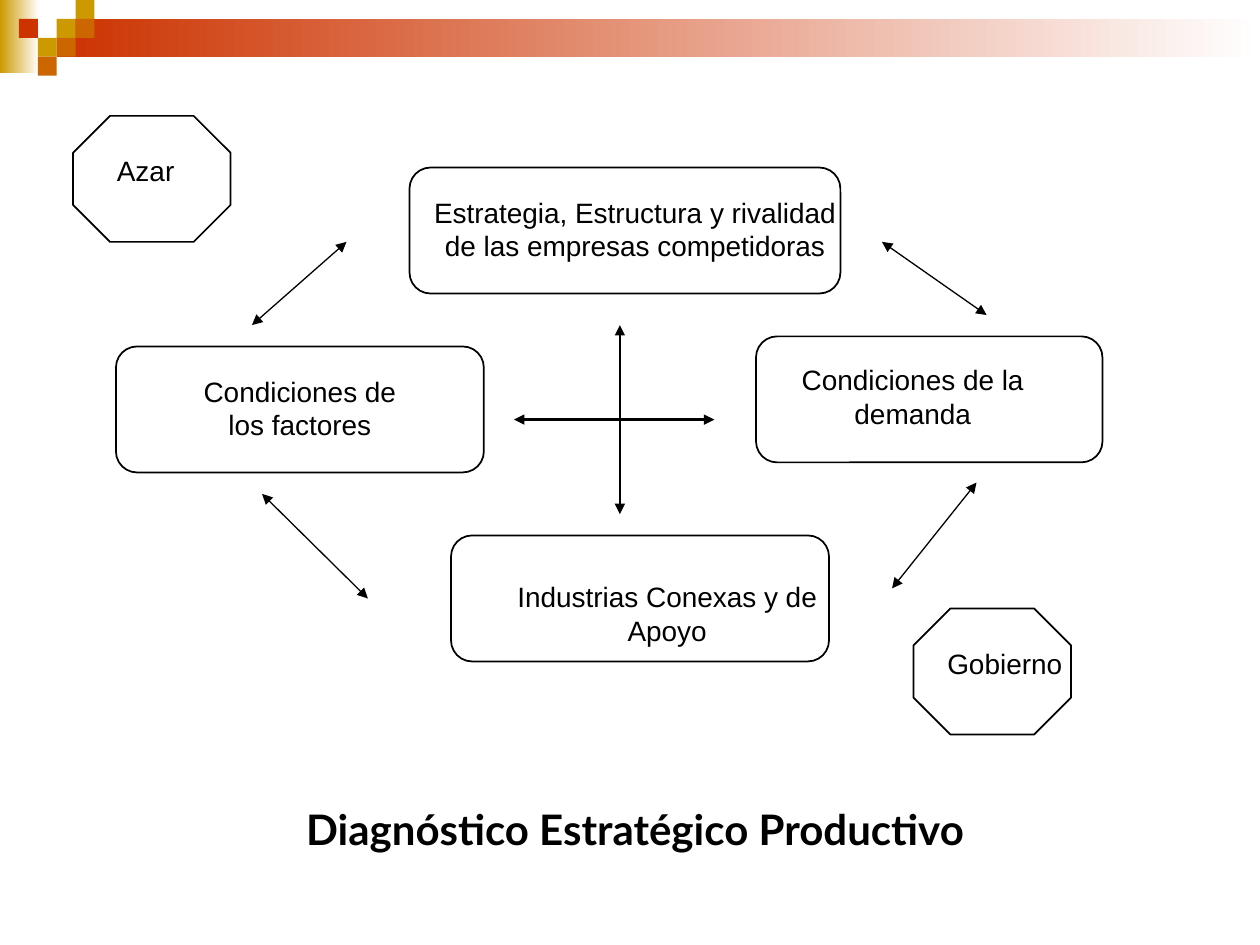
from dataclasses import dataclass

from lxml.etree import SubElement
from pptx import Presentation
from pptx.dml.color import RGBColor
from pptx.enum.shapes import MSO_CONNECTOR, MSO_SHAPE
from pptx.enum.text import MSO_ANCHOR, PP_ALIGN
from pptx.oxml.ns import qn
from pptx.util import Inches, Pt


@dataclass(frozen=True)
class Theme:
    ink: RGBColor = RGBColor(0, 0, 0)
    paper: RGBColor = RGBColor(0xFF, 0xFF, 0xFF)
    gold: RGBColor = RGBColor(0xCC, 0x99, 0x00)
    orange: RGBColor = RGBColor(0xCC, 0x66, 0x00)
    red: RGBColor = RGBColor(0xCC, 0x33, 0x00)
    label_font: str = "Arial"
    title_font: str = "Lato"
    label_size: int = 16
    title_size: int = 24
    outline: float = 1
    thin: float = 0.75
    thick: float = 1.5


THEME = Theme()
TILE = 0.15


def place(left, top, width, height):
    return Inches(left), Inches(top), Inches(width), Inches(height)


def add_block(page, area, color, fade=False):
    block = page.shapes.add_shape(MSO_SHAPE.RECTANGLE, *place(*area))
    block.shadow.inherit = False
    block.line.fill.background()
    if fade:
        block.fill.gradient()
        block.fill.gradient_angle = 0
        for stop, shade in zip(block.fill.gradient_stops, (color, THEME.paper)):
            stop.color.rgb = shade
    else:
        block.fill.solid()
        block.fill.fore_color.rgb = color


def add_banner(page):
    add_block(page, (0, 0, 0.31, 0.58), THEME.gold, fade=True)
    add_block(page, (0.45, 0.15, 9.55, 0.3), THEME.red, fade=True)
    tiles = [
        (3, 1, THEME.gold), (4, 0, THEME.gold), (4, 1, THEME.orange),
        (2, 2, THEME.gold), (1, 1, THEME.red), (3, 2, THEME.orange),
        (2, 3, THEME.orange),
    ]
    for column, row, color in tiles:
        add_block(page, (column * TILE, row * TILE, TILE, TILE), color)


def format_text(box, font, size, bold=False, align=PP_ALIGN.LEFT):
    for para in box.text_frame.paragraphs:
        para.alignment = align
        for span in para.runs:
            span.font.name = font
            span.font.size = Pt(size)
            span.font.bold = bold
            span.font.color.rgb = THEME.ink


def add_title(page, text):
    title = page.shapes.title
    title.left, title.top, title.width, title.height = place(2.33, 6.33, 6.07, 0.5)
    title.text_frame.text = text
    title.text_frame.word_wrap = True
    title.text_frame.vertical_anchor = MSO_ANCHOR.TOP
    format_text(title, THEME.title_font, THEME.title_size, bold=True)


def add_label(page, text, area, align=PP_ALIGN.CENTER, right_margin=0.1):
    box = page.shapes.add_textbox(*place(*area))
    box.text_frame.word_wrap = True
    box.text_frame.margin_right = Inches(right_margin)
    box.text_frame.text = text
    format_text(box, THEME.label_font, THEME.label_size, align=align)


def add_outline(page, kind, adjustment, area):
    frame = page.shapes.add_shape(kind, *place(*area))
    frame.adjustments[0] = adjustment
    frame.shadow.inherit = False
    frame.fill.background()
    frame.line.color.rgb = THEME.ink
    frame.line.width = Pt(THEME.outline)


def add_double_arrow(page, start, end, weight):
    arrow = page.shapes.add_connector(
        MSO_CONNECTOR.STRAIGHT, *map(Inches, (*start, *end))
    )
    arrow.line.color.rgb = THEME.ink
    arrow.line.width = Pt(weight)
    line = arrow.line._get_or_add_ln()
    for end_name in ("a:headEnd", "a:tailEnd"):
        SubElement(line, qn(end_name), type="triangle")
    SubElement(arrow._element.spPr, qn("a:effectLst"))


def main():
    deck = Presentation()
    deck.slide_width, deck.slide_height = Inches(10), Inches(7.5)
    page = deck.slides.add_slide(deck.slide_layouts[5])

    add_banner(page)
    add_title(page, "Diagnóstico Estratégico Productivo")

    add_label(page, "Estrategia, Estructura y rivalidad de las empresas competidoras",
              (3.33, 1.5, 3.42, 0.9))
    add_label(page, "Azar", (0.83, 1.17, 1.67, 0.37), PP_ALIGN.LEFT)
    add_label(page, "Condiciones de los factores", (1.42, 2.92, 1.92, 0.64))
    add_label(page, "Industrias Conexas y de Apoyo", (3.67, 4.55, 3.25, 0.9))
    add_label(page, "Condiciones de la\ndemanda", (6.08, 2.83, 2.83, 0.9),
              right_margin=0.6)
    add_label(page, "Gobierno", (7.42, 5.08, 1.58, 0.37), PP_ALIGN.LEFT)

    for left, top in [(7.25, 4.83), (0.58, 0.92)]:
        add_outline(page, MSO_SHAPE.OCTAGON, 0.293, (left, top, 1.25, 1))
    for left, top, width in [(6, 2.67, 2.75), (3.58, 4.25, 3),
                             (3.25, 1.33, 3.42), (0.92, 2.75, 2.92)]:
        add_outline(page, MSO_SHAPE.ROUNDED_RECTANGLE, 0.167, (left, top, width, 1))

    arrows = [
        ((2, 2.58), (2.75, 1.92), THEME.thin),
        ((7, 1.92), (7.83, 2.5), THEME.thin),
        ((2.08, 3.92), (2.92, 4.75), THEME.thin),
        ((7.08, 4.67), (7.75, 3.83), THEME.thin),
        ((4.92, 2.58), (4.92, 4.08), THEME.thick),
        ((4.08, 3.33), (5.67, 3.33), THEME.thick),
    ]
    for start, end, weight in arrows:
        add_double_arrow(page, start, end, weight)

    deck.save("out.pptx")


if __name__ == "__main__":
    main()
